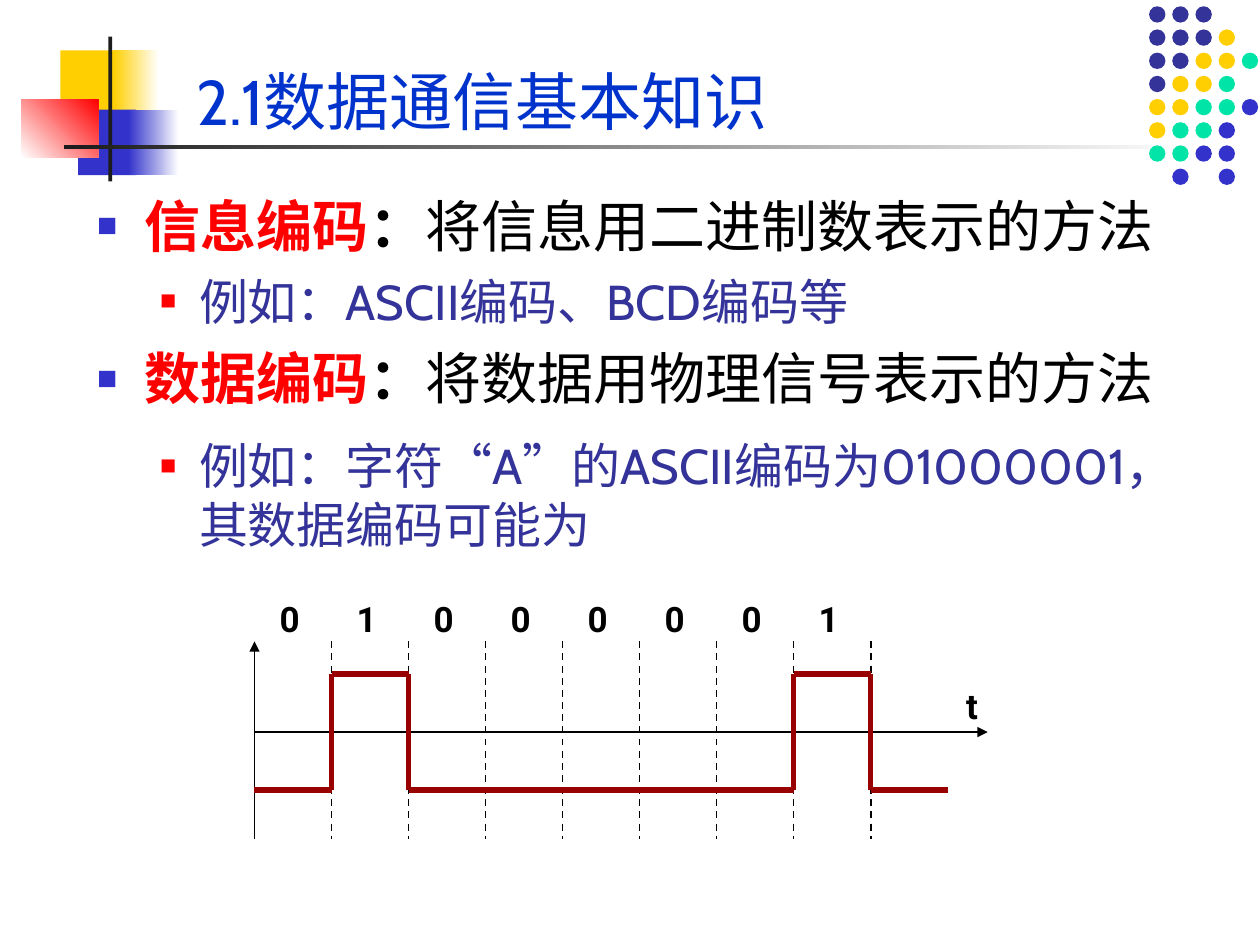
from dataclasses import dataclass
from itertools import groupby
from typing import NamedTuple, Optional

from lxml.etree import SubElement
from pptx import Presentation
from pptx.dml.color import RGBColor as RGB
from pptx.enum.dml import MSO_LINE_DASH_STYLE as Dash
from pptx.enum.shapes import MSO_CONNECTOR as Conn, MSO_SHAPE as Shape
from pptx.enum.text import MSO_ANCHOR as Anchor, MSO_AUTO_SIZE as Auto, PP_ALIGN as Align
from pptx.oxml.ns import qn
from pptx.util import Inches, Pt


@dataclass(frozen=True)
class Theme:
    blue: str = "3333CC"
    navy: str = "333399"
    yellow: str = "FFCF01"
    green: str = "00E4A8"
    red: str = "FF0000"
    white: str = "FFFFFF"
    black: str = "000000"
    dark: str = "1C1C1C"
    title: str = "0033CC"
    signal: str = "990000"
    font: str = "Cabin"
    quote_font: str = "Arial"
    label_font: str = "Roboto"
    title_size: int = 36
    sizes: tuple = (32, 28)
    label_size: int = 20


T = Theme()


class Block(NamedTuple):
    x: float
    y: float
    w: float
    h: float
    start: str
    end: Optional[str] = None
    angle: int = 0


class Run(NamedTuple):
    text: str
    color: str
    bold: bool = False
    font: str = T.font


class Item(NamedTuple):
    level: int
    before: int
    runs: list


class Level(NamedTuple):
    left: float
    hang: float
    color: str
    percent: int


class Grid(NamedTuple):
    left: float
    top: float
    col: float
    row: float

    def at(self, c: float, r: float) -> tuple:
        return self.left + c * self.col, self.top + r * self.row


LEVELS = (Level(0.38, 0.38, T.blue, 60), Level(0.81, 0.31, T.red, 55))
BLOCKS = [
    Block(0.48, 0.4, 0.48, 0.52, T.yellow),
    Block(0.9, 0.4, 0.36, 0.52, T.yellow, T.white),
    Block(0.62, 0.87, 0.46, 0.52, T.blue),
    Block(1.02, 0.87, 0.4, 0.52, T.blue, T.white),
    Block(0.17, 0.79, 0.61, 0.46, T.white, T.red, 45),
    Block(0.86, 0.29, 0.03, 1.15, T.dark),
    Block(0.51, 1.15, 9, 0.03, T.dark, T.white),
]
DOT_ROWS = ("NNN", "NNNY", "NNYYG", "NYYG", "YYGGB", "YGGB", "GGBB", " B B")
DOT_COLORS = {"N": T.navy, "Y": T.yellow, "G": T.green, "B": T.blue}
DOTS = Grid(9.12, 0.05, 0.184, 0.184)
DOT = 0.13
BITS = "01000001"
PLOT = Grid(2.02, 5.81, 4.89 / len(BITS), 0.46)
TOP, BOTTOM = -0.72 / PLOT.row, 0.85 / PLOT.row
ITEMS = [
    Item(0, 0, [Run("信息编码", T.red, True), Run("：", T.black, True),
                Run("将信息用二进制数表示的方法", T.black)]),
    Item(1, 7, [Run("例如：ASCII编码、BCD编码等", T.navy)]),
    Item(0, 8, [Run("数据编码", T.red, True), Run("：", T.black, True),
                Run("将数据用物理信号表示的方法", T.black)]),
    Item(1, 14, [Run("例如：字符", T.navy), Run("“", T.navy, font=T.quote_font),
                 Run("A", T.navy), Run("”", T.navy, font=T.quote_font),
                 Run("的ASCII编码为01000001，其数据编码可能为", T.navy)]),
]


def place(sp, x: float, y: float, w: float, h: float) -> None:
    sp.left, sp.top, sp.width, sp.height = map(Inches, (x, y, w, h))


def add_text(p, text: str, *, size: int, color: str, font: str = T.font, bold: bool = False) -> None:
    r = p.add_run()
    r.text = text
    r.font.name, r.font.size, r.font.bold = font, Pt(size), bold
    r.font.color.rgb = RGB.from_string(color)


def add_block(s, b: Block, kind=Shape.RECTANGLE) -> None:
    sp = s.shapes.add_shape(kind, *map(Inches, b[:4]))
    sp.shadow.inherit = False
    sp.line.fill.background()
    if b.end is None:
        sp.fill.solid()
        sp.fill.fore_color.rgb = RGB.from_string(b.start)
        return
    sp.fill.gradient()
    sp.fill.gradient_angle = b.angle
    for stop, color in zip(sp.fill.gradient_stops, (b.start, b.end)):
        stop.color.rgb = RGB.from_string(color)


def add_line(s, start: tuple, end: tuple, *, color: str = T.black, width: float = 1,
             dashed: bool = False, arrow: bool = False) -> None:
    (x1, y1), (x2, y2) = PLOT.at(*start), PLOT.at(*end)
    sp = s.shapes.add_connector(Conn.STRAIGHT, *map(Inches, (x1, y1, x2, y2)))
    sp.line.color.rgb = RGB.from_string(color)
    sp.line.width = Pt(width)
    if dashed:
        sp.line.dash_style = Dash.DASH
    if arrow:
        SubElement(sp.line._get_or_add_ln(), qn("a:tailEnd"), type="triangle")
    SubElement(sp._element.spPr, qn("a:effectLst"))


def add_label(s, text: str, x: float, y: float) -> None:
    tf = s.shapes.add_textbox(*map(Inches, (x, y, 0.41, 0.44))).text_frame
    tf.word_wrap = True
    add_text(tf.paragraphs[0], text, size=T.label_size, color=T.black, font=T.label_font, bold=True)


def add_item(p, item: Item) -> None:
    level = LEVELS[item.level]
    p.level, p.space_before = item.level, Pt(item.before)
    pPr = p._p.get_or_add_pPr()
    pPr.set("marL", str(Inches(level.left)))
    pPr.set("indent", str(-Inches(level.hang)))
    SubElement(SubElement(pPr, qn("a:buClr")), qn("a:srgbClr"), val=level.color)
    SubElement(pPr, qn("a:buSzPct"), val=str(level.percent * 1000))
    SubElement(pPr, qn("a:buFont"), typeface="Arial")
    SubElement(pPr, qn("a:buChar"), char="■")
    for run in item.runs:
        add_text(p, run.text, size=T.sizes[item.level], color=run.color, font=run.font, bold=run.bold)


def add_signal(s) -> None:
    add_line(s, (0, 0), (9.52, 0), arrow=True)
    add_line(s, (0, BOTTOM), (0, TOP), arrow=True)
    for i, bit in enumerate(BITS):
        add_line(s, (i + 1, TOP), (i + 1, BOTTOM), dashed=True)
        add_label(s, bit, PLOT.at(i, 0)[0] + 0.1, 4.69)
    add_label(s, "t", 7.57, 5.38)
    col = 0
    for bit, run in groupby(BITS + "0"):
        end, level = col + len(list(run)), -1 if bit == "1" else 1
        if col:
            add_line(s, (col, 1), (col, -1), color=T.signal, width=3)
        add_line(s, (col, level), (end, level), color=T.signal, width=3)
        col = end


def main() -> None:
    prs = Presentation()
    prs.slide_width, prs.slide_height = Inches(10), Inches(7.5)
    s = prs.slides.add_slide(prs.slide_layouts[1])
    title, body = s.placeholders
    for b in BLOCKS:
        add_block(s, b)
    for r, row in enumerate(DOT_ROWS):
        for c, key in enumerate(row):
            if key in DOT_COLORS:
                add_block(s, Block(*DOTS.at(c, r), DOT, DOT, DOT_COLORS[key]), Shape.OVAL)
    place(title, 1.46, 0.28, 7.32, 0.87)
    place(body, 0.67, 1.47, 8.87, 3.07)
    for sp, anchor in ((title, Anchor.BOTTOM), (body, Anchor.TOP)):
        tf = sp.text_frame
        tf.word_wrap, tf.auto_size, tf.vertical_anchor = True, Auto.NONE, anchor
    p = title.text_frame.paragraphs[0]
    p.alignment = Align.LEFT
    add_text(p, "2.1数据通信基本知识", size=T.title_size, color=T.title)
    tf = body.text_frame
    for i, item in enumerate(ITEMS):
        add_item(tf.add_paragraph() if i else tf.paragraphs[0], item)
    add_signal(s)
    prs.save("out.pptx")


if __name__ == "__main__":
    main()
